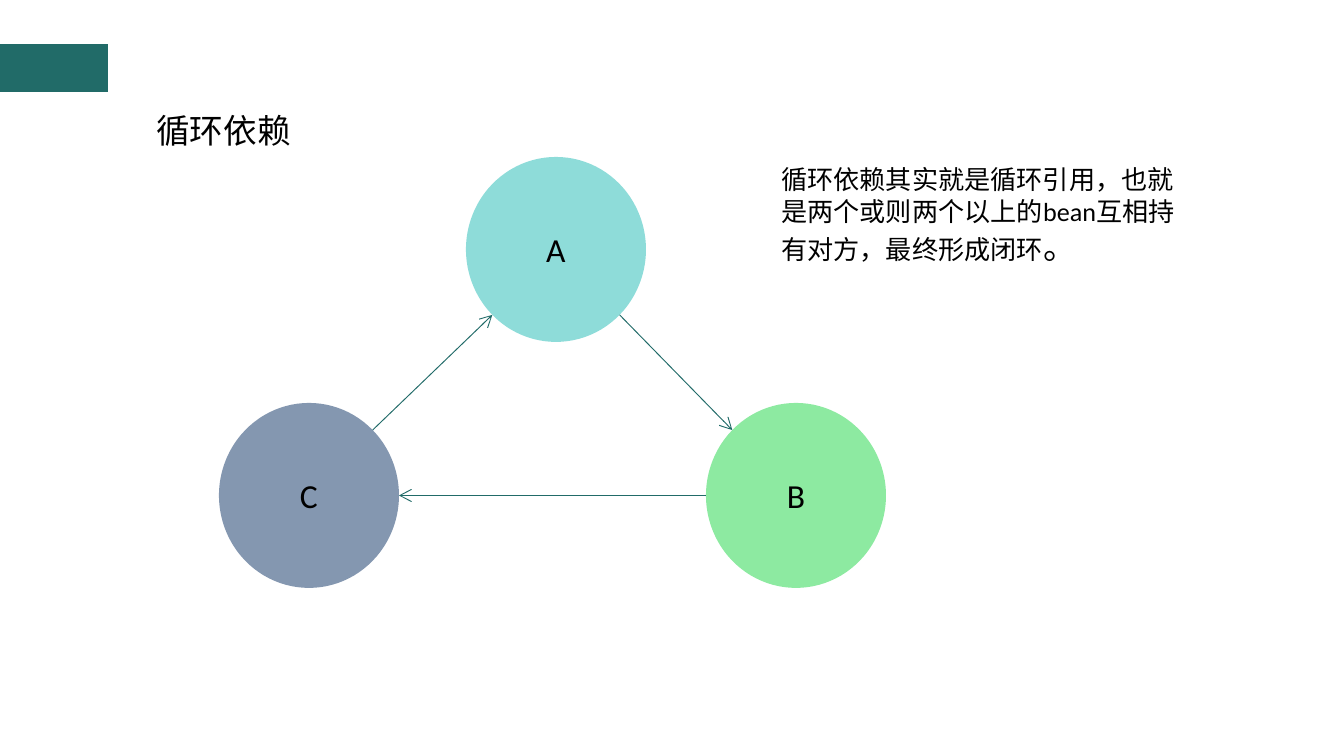
import math
from pptx import Presentation
from pptx import util as u
from pptx.dml.color import RGBColor
from pptx.enum import shapes, text
from pptx.oxml.ns import qn
from lxml import etree

SCALE = 914400 / 134.4
TEAL = "216B68"
BLACK = "000000"


def px(length):
    return u.Emu(round(length * SCALE))


def color(value):
    return RGBColor.from_string(value)


def add_filled(page, kind, box, fill):
    shape = page.shapes.add_shape(kind, *map(px, box))
    shape.shadow.inherit = False
    shape.fill.solid()
    shape.fill.fore_color.rgb = color(fill)
    shape.line.fill.background()
    return shape


def style(font, size):
    font.name = "Calibri"
    font.size = u.Pt(size)
    font.color.rgb = color(BLACK)


def add_text(page, box, words, size):
    frame = page.shapes.add_textbox(*map(px, box)).text_frame
    frame.word_wrap = True
    para = frame.paragraphs[0]
    para.add_run().text = words
    style(para.font, size)
    return para


def add_arrow(page, start, end):
    arrow = page.shapes.add_connector(
        shapes.MSO_CONNECTOR.STRAIGHT, *map(px, start + end))
    arrow.line.color.rgb = color(TEAL)
    arrow.line.width = u.Pt(0.5)
    line = arrow.line._get_or_add_ln()
    etree.SubElement(line, qn("a:tailEnd"), type="arrow")
    etree.SubElement(arrow._element.spPr, qn("a:effectLst"))


def add_node(page, box, label, fill):
    node = add_filled(page, shapes.MSO_SHAPE.OVAL, box, fill)
    frame = node.text_frame
    frame.vertical_anchor = text.MSO_ANCHOR.MIDDLE
    para = frame.paragraphs[0]
    para.text = label
    para.alignment = text.PP_ALIGN.CENTER
    style(para.font, 18)


def rim_point(box, degrees):
    left, top, width, height = box
    angle = math.radians(degrees)
    return (left + width / 2 * (1 + math.cos(angle)),
            top + height / 2 * (1 + math.sin(angle)))


def add_cycle(page, box):
    left, top, width, height = box
    node_width, node_height = 180, 185
    right = left + width - node_width
    bottom = top + height - node_height
    nodes = {
        "A": ((left + 247, top, node_width, node_height), "8EDCD9"),
        "B": ((right, bottom, node_width, node_height), "8DEAA1"),
        "C": ((left, bottom, node_width, node_height), "8497B0"),
    }
    for label, (place, fill) in nodes.items():
        add_node(page, place, label, fill)
    links = [("C", -45, "A", 135), ("A", 45, "B", 225), ("B", 180, "C", 0)]
    for source, leaving, target, entering in links:
        add_arrow(page, rim_point(nodes[source][0], leaving),
                  rim_point(nodes[target][0], entering))


def add_explanation(page, box):
    para = add_text(
        page, box,
        "循环依赖其实就是循环引用，也就是两个或则两个以上的bean互相持有对方，最终形成闭环", 14)
    span = para.add_run()
    span.text = "。"
    span.font.size = u.Pt(18)


deck = Presentation()
deck.slide_width, deck.slide_height = px(1344), px(756)
page = deck.slides.add_slide(deck.slide_layouts[6])
add_filled(page, shapes.MSO_SHAPE.RECTANGLE, (0, 44, 108, 48), TEAL)
add_text(page, (143, 103, 349, 54), "循环依赖", 18)
add_cycle(page, (219, 157, 667, 431))
add_explanation(page, (768, 157, 425, 117))
deck.save("out.pptx")
